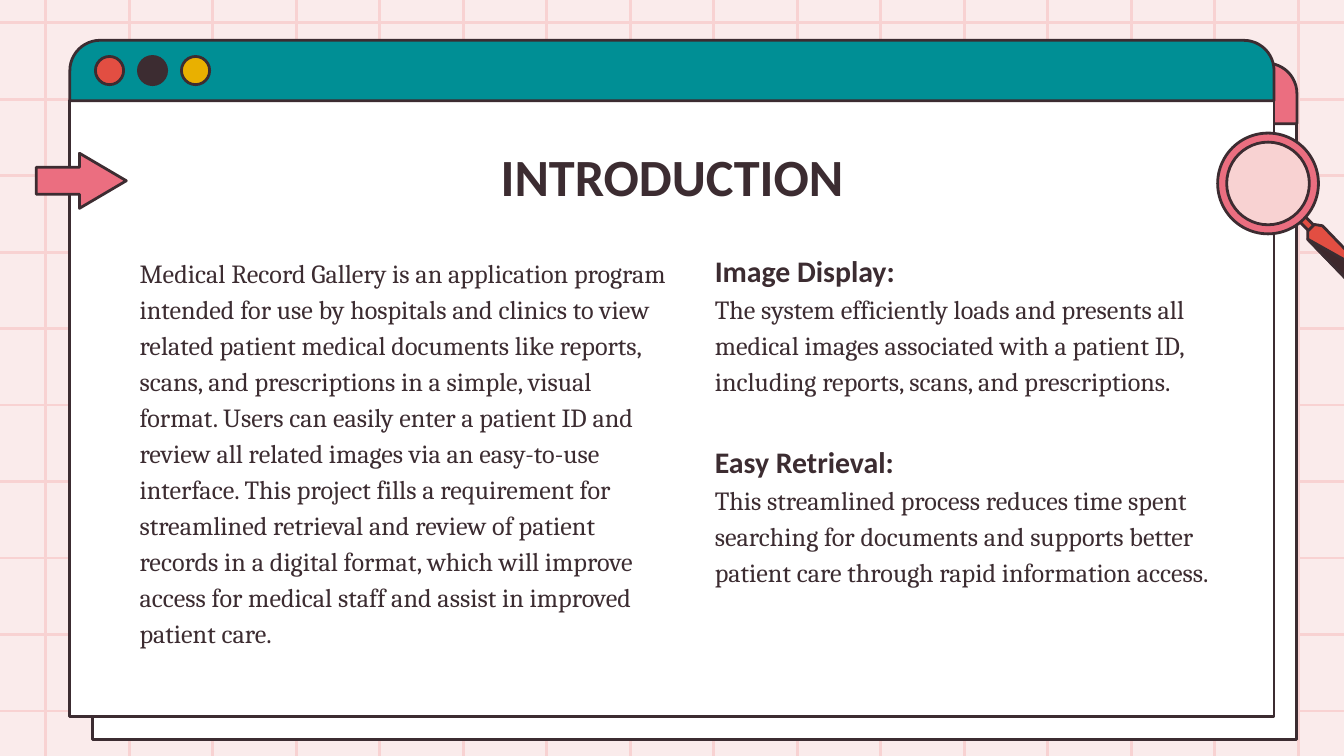
from lxml.etree import SubElement
from pptx import Presentation
from pptx.dml.color import RGBColor
from pptx.enum.shapes import MSO_CONNECTOR, MSO_SHAPE
from pptx.enum.text import MSO_ANCHOR, PP_ALIGN
from pptx.oxml.ns import qn
from pptx.util import Inches, Pt

CREAM = RGBColor(0xFA, 0xEB, 0xEB)
BLUSH = RGBColor(0xF8, 0xD2, 0xD2)
WHITE = RGBColor(0xFF, 0xFF, 0xFF)
INK = RGBColor(0x3C, 0x2C, 0x31)
PINK = RGBColor(0xEB, 0x6E, 0x80)
TEAL = RGBColor(0x00, 0x8F, 0x95)
RED = RGBColor(0xE2, 0x4E, 0x42)
YELLOW = RGBColor(0xE9, 0xB0, 0x00)
MAROON = RGBColor(0x3E, 0x28, 0x2C)

WIDTH = 10
HEIGHT = WIDTH * 9 / 16
HEADING = ("Calibri", 16, True)
BODY = ("Cambria", 14, False)
TITLE = ("Calibri", 28, True)

TEXTS = [
    ((0.94, 1.78, 4.16, 3.32), PP_ALIGN.LEFT, 1.15, [
        ("Medical Record Gallery is an application program intended for use by "
         "hospitals and clinics to view related patient medical documents like "
         "reports, scans, and prescriptions in a simple, visual format. Users can "
         "easily enter a patient ID and review all related images via an "
         "easy-to-use interface. This project fills a requirement for streamlined "
         "retrieval and review of patient records in a digital format, which will "
         "improve access for medical staff and assist in improved patient care.",
         BODY, 0),
    ]),
    ((0.98, 0.97, 8.04, 0.63), PP_ALIGN.CENTER, 1, [("INTRODUCTION", TITLE, 0)]),
    ((5.22, 1.74, 3.88, 3.18), PP_ALIGN.LEFT, 1.15, [
        ("Image Display:", HEADING, 0),
        ("The system efficiently loads and presents all medical images associated "
         "with a patient ID, including reports, scans, and prescriptions.", BODY, 0),
        ("Easy Retrieval:", HEADING, 22.3),
        ("This streamlined process reduces time spent searching for documents and "
         "supports better patient care through rapid information access.", BODY, 0),
    ]),
]

WINDOWS = [(0.69, 0.47, PINK), (0.52, 0.3, TEAL)]
WINDOW_WIDTH, BAR_HEIGHT, PAGE_HEIGHT = 8.96, 0.45, 4.58
BUTTONS = [RED, INK, YELLOW]
BUTTON_SIZE, BUTTON_STEP = 0.21, 0.32

HANDLE = [
    (RED, [(9.77, 1.75), (9.81, 1.71), (9.7, 1.6), (9.66, 1.64)]),
    (RED, [(10.14, 2.01), (10.13, 2.04), (10.08, 2.08), (10.02, 2.08), (9.73, 1.78),
           (9.73, 1.72), (9.78, 1.67), (9.84, 1.68), (10.13, 1.98)]),
    (MAROON, [(10.14, 2.01), (10.13, 2.04), (10.08, 2.08), (10.02, 2.08), (9.73, 1.78)]),
]


def paint(shape, color):
    shape.shadow.inherit = False
    shape.fill.solid()
    shape.fill.fore_color.rgb = color
    shape.line.color.rgb = INK
    shape.line.width = Pt(1.5)


def add_preset(slide, kind, frame, color, adjustments=()):
    shape = slide.shapes.add_shape(kind, *map(Inches, frame))
    for index, value in enumerate(adjustments):
        shape.adjustments[index] = value
    paint(shape, color)


def add_polygon(slide, points, color):
    corners = [(Inches(x), Inches(y)) for x, y in points]
    builder = slide.shapes.build_freeform(*corners[0])
    builder.add_line_segments(corners[1:], close=True)
    paint(builder.convert_to_shape(), color)


def add_grid_line(slide, *ends):
    line = slide.shapes.add_connector(MSO_CONNECTOR.STRAIGHT, *map(Inches, ends))
    line.line.color.rgb = BLUSH
    line.line.width = Pt(1.5)
    SubElement(line._element.spPr, qn("a:effectLst"))


def add_window(slide, left, top, bar_color):
    page_top = top + BAR_HEIGHT
    add_preset(slide, MSO_SHAPE.RECTANGLE,
               (left, page_top, WINDOW_WIDTH, PAGE_HEIGHT), WHITE)
    add_preset(slide, MSO_SHAPE.ROUND_2_SAME_RECTANGLE,
               (left, top, WINDOW_WIDTH, BAR_HEIGHT), bar_color, (0.5, 0))
    for index, color in enumerate(BUTTONS):
        button_left = left + 0.19 + index * BUTTON_STEP
        add_preset(slide, MSO_SHAPE.OVAL,
                   (button_left, top + 0.12, BUTTON_SIZE, BUTTON_SIZE), color)


def add_text(slide, frame, alignment, spacing, paragraphs):
    box = slide.shapes.add_textbox(*map(Inches, frame)).text_frame
    box.word_wrap = True
    box.vertical_anchor = MSO_ANCHOR.TOP
    box.margin_left = box.margin_right = Inches(0.1)
    box.margin_top = box.margin_bottom = Inches(0.1)
    for index, (text, (font, size, bold), gap) in enumerate(paragraphs):
        para = box.add_paragraph() if index else box.paragraphs[0]
        para.alignment = alignment
        para.line_spacing = spacing
        para.space_before = Pt(gap)
        span = para.add_run()
        span.text = text
        span.font.name = font
        span.font.size = Pt(size)
        span.font.bold = bold
        span.font.color.rgb = INK


def main():
    deck = Presentation()
    deck.slide_width, deck.slide_height = Inches(WIDTH), Inches(HEIGHT)
    slide = deck.slides.add_slide(deck.slide_layouts[6])
    slide.background.fill.solid()
    slide.background.fill.fore_color.rgb = CREAM

    for column in range(16):
        x = 0.34 + column * 9.32 / 15
        add_grid_line(slide, x, HEIGHT, x, 0)
    for row in range(10):
        y = 0.17 + row * 5.12 / 9
        add_grid_line(slide, 0, y, WIDTH, y)

    for left, top, color in WINDOWS:
        add_window(slide, left, top, color)
    for frame, alignment, spacing, paragraphs in TEXTS:
        add_text(slide, frame, alignment, spacing, paragraphs)

    for color, points in HANDLE:
        add_polygon(slide, points, color)
    add_preset(slide, MSO_SHAPE.OVAL, (9.1, 1.03, 0.67, 0.67), BLUSH)
    add_preset(slide, MSO_SHAPE.DONUT, (9.06, 0.99, 0.75, 0.75), PINK, (0.09,))
    add_preset(slide, MSO_SHAPE.RIGHT_ARROW, (0.27, 1.14, 0.67, 0.41), PINK, (0.49, 0.85))
    deck.save("out.pptx")


if __name__ == "__main__":
    main()
